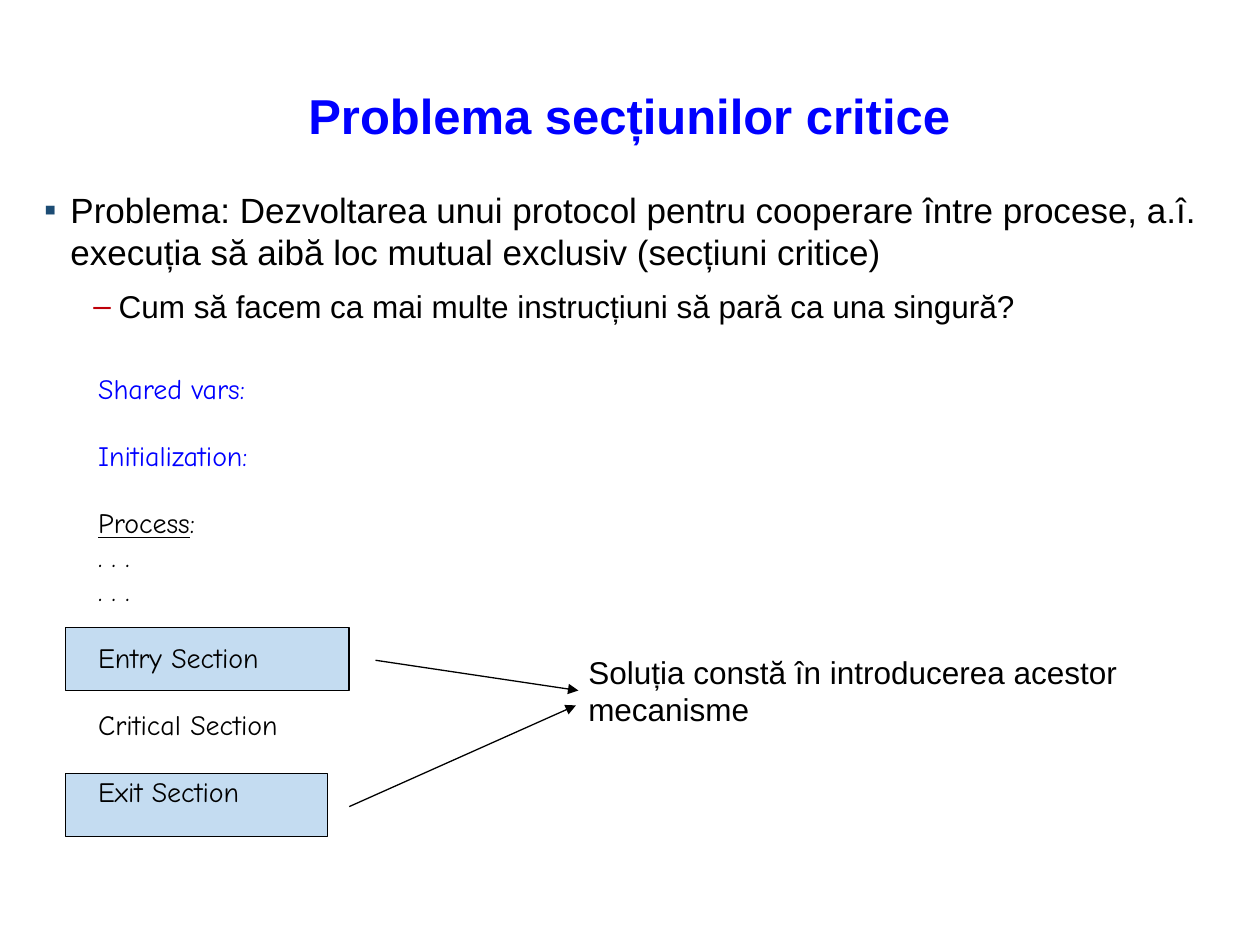
from lxml import etree
from pptx import Presentation
from pptx.dml.color import RGBColor
from pptx.enum.shapes import MSO_CONNECTOR as Connector, MSO_SHAPE as Shape
from pptx.enum.text import MSO_ANCHOR as Anchor, MSO_AUTO_SIZE as AutoSize, PP_ALIGN as Align
from pptx.oxml.ns import qn
from pptx.util import Cm, Pt

BLUE, BLACK, PALE_BLUE = "0000FF", "000000", "C4DCF1"


def color(value):
    return RGBColor.from_string(value)


def style(font, name, size, value):
    font.name = name
    font.size = Pt(size)
    font.color.rgb = color(value)


presentation = Presentation()
presentation.slide_width, presentation.slide_height = Cm(25.4), Cm(19.05)
slide = presentation.slides.add_slide(presentation.slide_layouts[1])
title, body = slide.placeholders

# Title and body frames
for placeholder, box in ((title, (0.86, 1.73, 23.65, 1.27)),
                         (body, (0.89, 3.68, 23.67, 14.15))):
    placeholder.left, placeholder.top, placeholder.width, placeholder.height = map(Cm, box)
    text_frame = placeholder.text_frame
    text_frame.margin_left = text_frame.margin_right = 0
    text_frame.auto_size = AutoSize.NONE

# Title
title.text_frame.text = "Problema secțiunilor critice"
title.text_frame.vertical_anchor = Anchor.MIDDLE
paragraph = title.text_frame.paragraphs[0]
paragraph.alignment = Align.CENTER
paragraph.line_spacing = 0.95
style(paragraph.runs[0].font, "Arial", 28, BLUE)
paragraph.runs[0].font.bold = True

# Bulleted list: text, size, space before, margin, hanging indent, bullet, bullet colour
items = [
    ("Problema: Dezvoltarea unui protocol pentru cooperare între procese, a.î. "
     "execuția să aibă loc mutual exclusiv (secțiuni critice)", 20, 0, 0.53, 0.53, "▪", "1C4C74"),
    ("Cum să facem ca mai multe instrucțiuni să pară ca una singură?",
     18, 8, 1.5, 0.51, "‒", "BE0009"),
]
body.text_frame.text = "\n".join(item[0] for item in items)
for level, (paragraph, item) in enumerate(zip(body.text_frame.paragraphs, items)):
    text, size, space, margin, hanging, bullet, bullet_color = item
    paragraph.level = level
    paragraph.space_before = Pt(space)
    properties = paragraph._p.get_or_add_pPr()
    properties.set("marL", str(Cm(margin)))
    properties.set("indent", str(-Cm(hanging)))
    bullet_fill = etree.SubElement(properties, qn("a:buClr"))
    etree.SubElement(bullet_fill, qn("a:srgbClr")).set("val", bullet_color)
    etree.SubElement(properties, qn("a:buFont")).set("typeface", "Arial")
    etree.SubElement(properties, qn("a:buChar")).set("char", bullet)
    style(paragraph.runs[0].font, "Arial", size, BLACK)

# Highlights behind the exit and entry sections
for top, width in ((15.6, 5.28), (12.65, 5.72)):
    highlight = slide.shapes.add_shape(Shape.RECTANGLE, Cm(1.32), Cm(top), Cm(width), Cm(1.27))
    highlight.shadow.inherit = False
    highlight.fill.solid()
    highlight.fill.fore_color.rgb = color(PALE_BLUE)
    highlight.line.color.rgb = color(BLACK)
    highlight.line.width = Pt(0.75)

# Process outline: text, colour, whether a one-line gap comes before
outline = [
    ("Shared vars:", BLUE, False),
    ("Initialization:", BLUE, True),
    ("Process", BLACK, True),
    (". . .", BLACK, False),
    (". . .", BLACK, False),
    ("Entry Section", BLACK, True),
    ("Critical Section", BLACK, True),
    ("Exit Section", BLACK, True),
]
process = slide.shapes.add_textbox(Cm(1.73), Cm(7.37), Cm(9.09), Cm(9.83))
process.text_frame.word_wrap = True
process.text_frame.text = "\n".join(line[0] for line in outline)
for paragraph, (text, text_color, gap) in zip(process.text_frame.paragraphs, outline):
    paragraph.space_before = Pt(19.15 if gap else 0)
    if text == "Process":
        paragraph.runs[0].font.underline = True
        paragraph.add_run().text = ":"
    for run in paragraph.runs:
        style(run.font, "Comic Neue", 16, text_color)

# Arrows from the two sections to the solution
for ends in ((7.57, 13.31, 11.66, 13.92), (7.04, 16.26, 11.61, 14.22)):
    arrow = slide.shapes.add_connector(Connector.STRAIGHT, *map(Cm, ends))
    arrow.line.color.rgb = color(BLACK)
    arrow.line.width = Pt(0.75)
    etree.SubElement(arrow.line._get_or_add_ln(), qn("a:tailEnd")).set("type", "triangle")
    etree.SubElement(arrow._element.spPr, qn("a:effectLst"))

# Solution
solution = slide.shapes.add_textbox(Cm(11.61), Cm(13.03), Cm(13.28), Cm(1.8))
solution.text_frame.word_wrap = True
solution.text_frame.text = "Soluția constă în introducerea acestor mecanisme"
style(solution.text_frame.paragraphs[0].runs[0].font, "Arial", 18, BLACK)

presentation.save("out.pptx")
